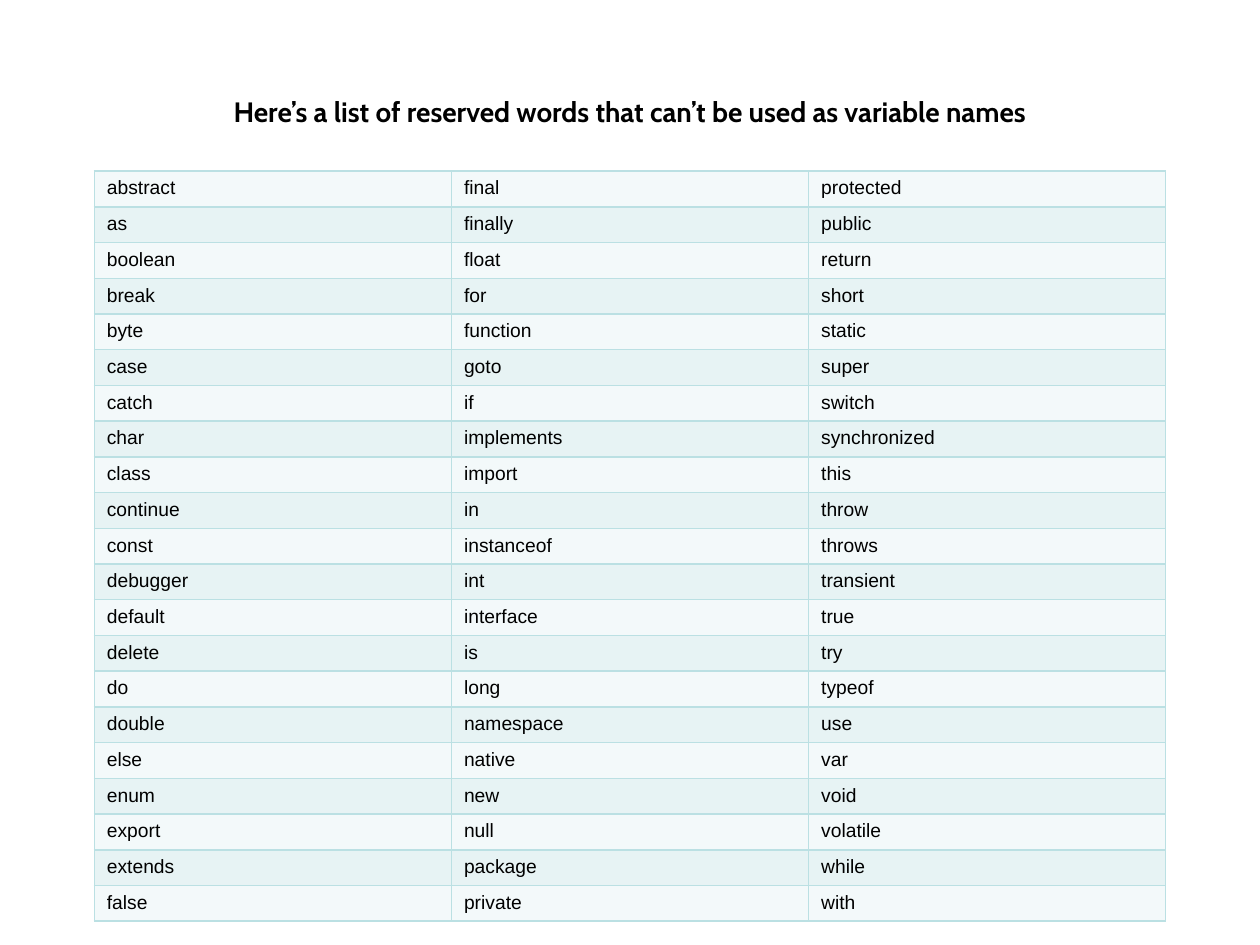
from pptx import Presentation
from pptx.dml.color import RGBColor
from pptx.enum.text import MSO_ANCHOR, PP_ALIGN
from pptx.oxml import parse_xml
from pptx.oxml.ns import nsdecls
from pptx.util import Cm, Pt

# Content
TITLE = "Here’s a list of reserved words that can’t be used as variable names"
COLUMNS = [
    """abstract as boolean break byte case catch char class continue const
    debugger default delete do double else enum export extends false""".split(),
    """final finally float for function goto if implements import in instanceof
    int interface is long namespace native new null package private""".split(),
    """protected public return short static super switch synchronized this throw
    throws transient true try typeof use var void volatile while with""".split(),
]
BANDS = ["F3F9FA", "E7F3F4"]
BORDER = "BBE0E3"
LEFT, WIDTH = Cm(1.9), Cm(21.6)
ROW = Cm(0.72)


def color(code):
    return RGBColor.from_string(code)


def style(para, face, size, bold=False):
    font = para.font
    font.name, font.size, font.bold = face, Pt(size), bold
    font.color.rgb = color("000000")


def outline(cell):
    props = cell._tc.get_or_add_tcPr()
    for at, side in enumerate(("lnL", "lnR", "lnT", "lnB")):
        props.insert(at, parse_xml(
            f'<a:{side} {nsdecls("a")} w="{Pt(1)}"><a:solidFill>'
            f'<a:srgbClr val="{BORDER}"/></a:solidFill></a:{side}>'))


deck = Presentation()
deck.slide_width, deck.slide_height = Cm(25.4), Cm(19.05)
slide = deck.slides.add_slide(deck.slide_layouts[5])

# Title
title = slide.shapes.title
title.left, title.top, title.width, title.height = LEFT, Cm(1.7), WIDTH, Cm(1.07)
frame = title.text_frame
frame.text = TITLE
frame.vertical_anchor = MSO_ANCHOR.MIDDLE
frame.paragraphs[0].alignment = PP_ALIGN.CENTER
style(frame.paragraphs[0], "Cabin", 16, True)

# Table of reserved words
count = len(COLUMNS[0])
table = slide.shapes.add_table(
    count, len(COLUMNS), LEFT, Cm(3.45), WIDTH, ROW * count).table
table.first_row = False
for row in table.rows:
    row.height = ROW
for x, words in enumerate(COLUMNS):
    for y, word in enumerate(words):
        cell = table.cell(y, x)
        cell.text = word
        cell.fill.solid()
        cell.fill.fore_color.rgb = color(BANDS[y % 2])
        style(cell.text_frame.paragraphs[0], "Arial", 11)
        outline(cell)

deck.save("out.pptx")
